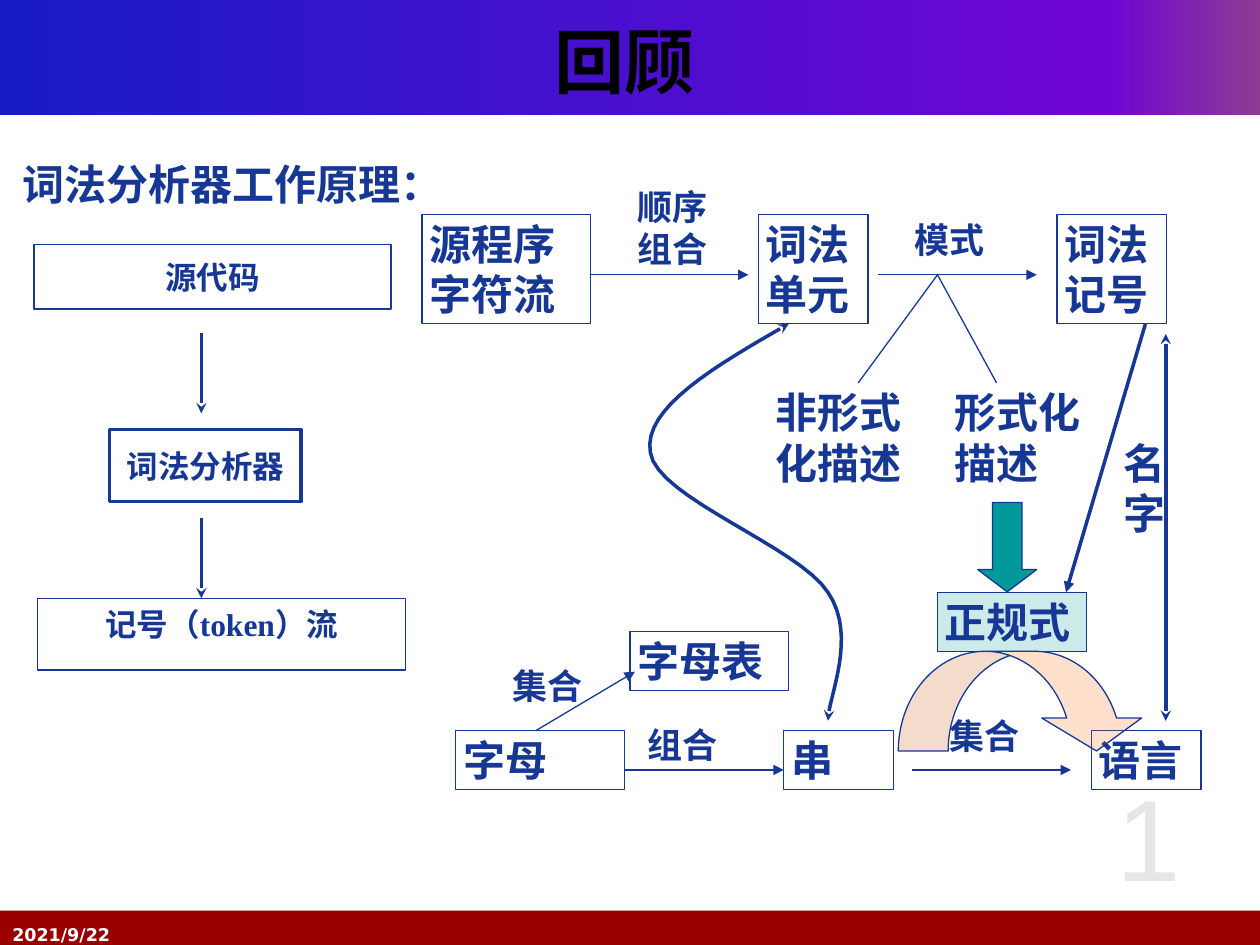
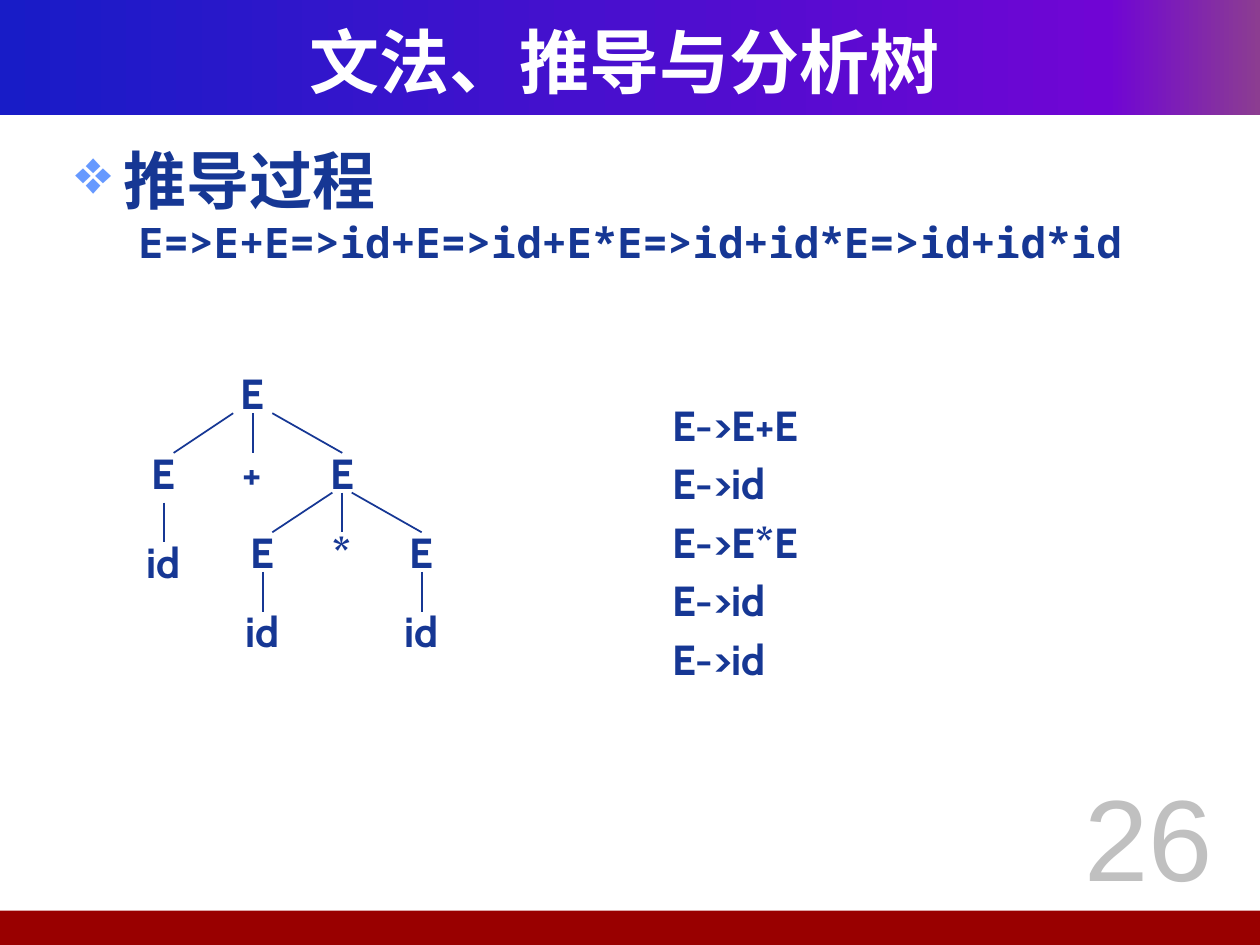
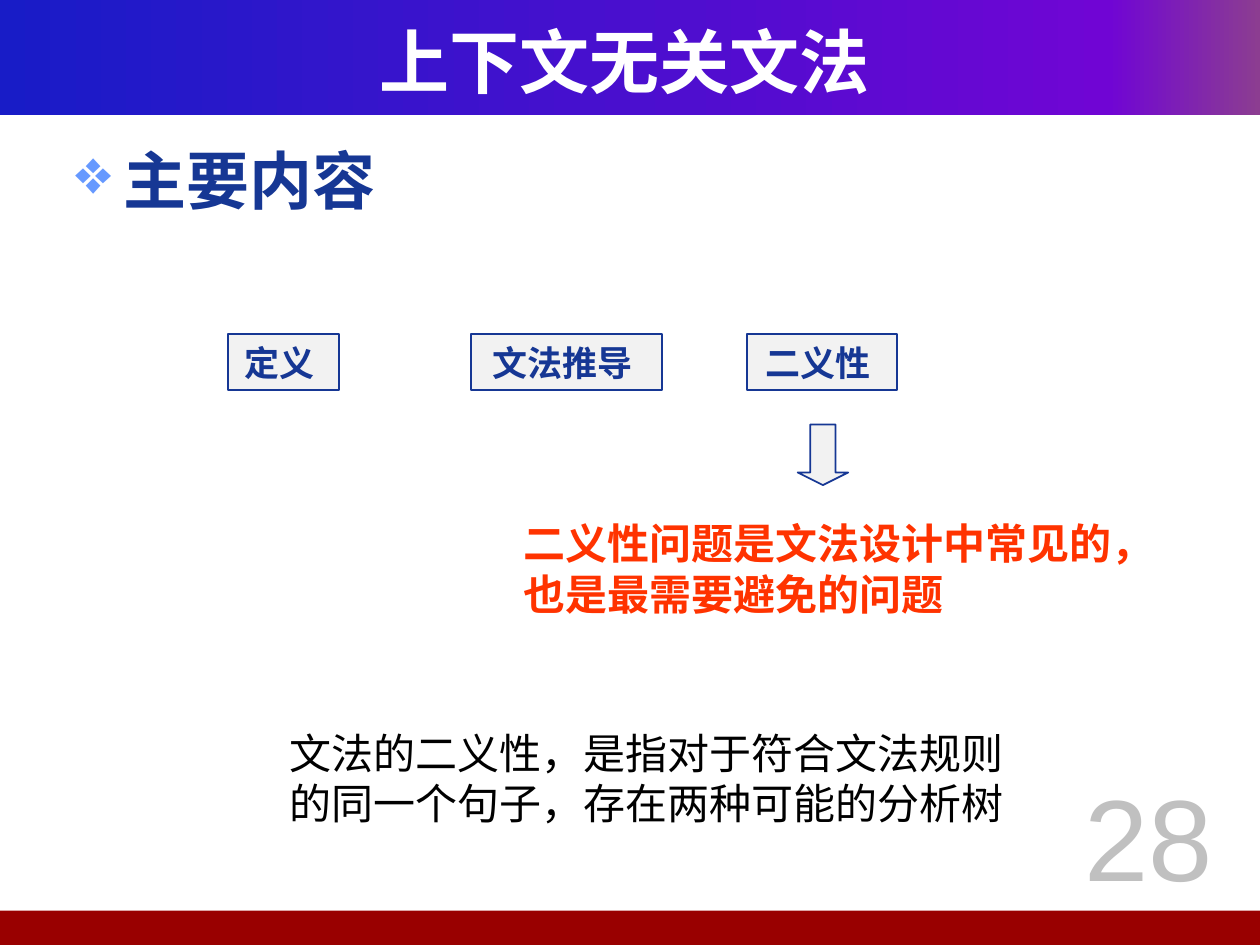
from copy import deepcopy

from lxml.etree import SubElement
from pptx import Presentation
from pptx.dml.color import RGBColor
from pptx.enum.lang import MSO_LANGUAGE_ID
from pptx.enum.shapes import MSO_CONNECTOR, MSO_SHAPE
from pptx.enum.text import MSO_ANCHOR, PP_ALIGN
from pptx.oxml.ns import qn
from pptx.util import Cm, Pt

NAVY, WHITE, BLACK = "163794", "FFFFFF", "000000"
RED, TEAL, PALE, BULLET = "FF3300", "009999", "F2F2F2", "6699FF"
BAND_STOPS = [(0, "181CC7"), (0.88, "7005D4"), (1, "8C3D91")]
SANS, MONO, CABIN, SERIF = "Noto Sans CJK SC", "Noto Sans Mono", "Cabin", "Times New Roman"
TIGHT, ROOMY = (0.15, 0.08), (0.25, 0.13)


def rgb(code):
    """Turn a hex string into a colour."""
    return RGBColor.from_string(code)


def style_paragraph(paragraph, font, size, color=NAVY, bold=True):
    """Set the font of a whole paragraph, for Latin and Chinese letters."""
    face = paragraph.font
    face.name, face.size, face.bold = font, Pt(size), bold
    face.color.rgb = rgb(color)
    face.language_id = MSO_LANGUAGE_ID.SIMPLIFIED_CHINESE
    defaults = paragraph._p.find(".//" + qn("a:defRPr"))
    SubElement(defaults, qn("a:ea"), typeface=MONO if font == MONO else CABIN)


def write(shape, text, font, size, color=NAVY, bold=True, align=PP_ALIGN.LEFT,
          anchor=MSO_ANCHOR.TOP, inset=ROOMY, wrap=True):
    """Fill a shape with text, one paragraph a line."""
    frame = shape.text_frame
    frame.word_wrap = wrap
    frame.vertical_anchor = anchor
    frame.margin_left = frame.margin_right = Cm(inset[0])
    frame.margin_top = frame.margin_bottom = Cm(inset[1])
    frame.text = text
    for paragraph in frame.paragraphs:
        paragraph.alignment = align
        style_paragraph(paragraph, font, size, color, bold)


def add_text(slide, at, text, font, size, **options):
    """Add a text box."""
    box = slide.shapes.add_textbox(*map(Cm, at))
    write(box, text, font, size, **options)
    return box


def add_figure(slide, kind, at, fill=None, line=NAVY, width=0.75, alpha=None, adjust=()):
    """Add a preset shape with its fill and outline."""
    figure = slide.shapes.add_shape(kind, *map(Cm, at))
    figure.shadow.inherit = False
    for index, value in enumerate(adjust):
        figure.adjustments[index] = value
    if fill:
        figure.fill.solid()
        figure.fill.fore_color.rgb = rgb(fill)
    else:
        figure.fill.background()
    if alpha:
        color = figure._element.spPr.find(f"{qn('a:solidFill')}/{qn('a:srgbClr')}")
        SubElement(color, qn("a:alpha"), val=str(alpha * 1000))
    if line:
        figure.line.color.rgb = rgb(line)
        figure.line.width = Pt(width)
    else:
        figure.line.fill.background()
    return figure


def add_box(slide, at, text, font=SANS, size=24, fill=None, width=0.75, alpha=None, **options):
    """Add an outlined rectangle with text."""
    box = add_figure(slide, MSO_SHAPE.RECTANGLE, at, fill, width=width, alpha=alpha)
    write(box, text, font, size, **options)


def draw_stroke(stroke, width, head, tail):
    """Colour a line and give it its arrowheads."""
    stroke.line.color.rgb = rgb(NAVY)
    stroke.line.width = Pt(width)
    outline = stroke._element.spPr.find(qn("a:ln"))
    for end, kind in (("a:headEnd", head), ("a:tailEnd", tail)):
        if kind:
            SubElement(outline, qn(end), type=kind)


def add_line(slide, start, end, width=0.75, head=None, tail=None):
    """Add a straight line or arrow."""
    line = slide.shapes.add_connector(MSO_CONNECTOR.STRAIGHT, *map(Cm, (*start, *end)))
    draw_stroke(line, width, head, tail)
    SubElement(line._element.spPr, qn("a:effectLst"))


def bezier(start, first, second, end, steps=16):
    """Return the points of a cubic curve after its start."""
    points = []
    for step in range(1, steps + 1):
        t = step / steps
        weights = ((1 - t) ** 3, 3 * t * (1 - t) ** 2, 3 * t * t * (1 - t), t ** 3)
        points.append(tuple(
            Cm(sum(weight * value for weight, value in zip(weights, axis)))
            for axis in zip(start, first, second, end)))
    return points


def add_curve(slide, points, width, head, tail):
    """Add an open curve through chained cubic sections."""
    builder = slide.shapes.build_freeform(*map(Cm, points[0]))
    for index in range(0, len(points) - 1, 3):
        builder.add_line_segments(bezier(*points[index:index + 4]), close=False)
    curve = builder.convert_to_shape()
    curve.shadow.inherit = False
    curve.fill.background()
    draw_stroke(curve, width, head, tail)


def add_slide(deck, title, number, title_color=WHITE, number_color="C0C0C0"):
    """Add a slide with the title band, footer band and page number."""
    slide = deck.slides.add_slide(deck.slide_layouts[6])
    band = add_figure(slide, MSO_SHAPE.RECTANGLE, (0, 0, 25.4, 2.32), line=None)
    band.fill.gradient()
    band.fill.gradient_angle = 0
    stops = band._element.spPr.find(".//" + qn("a:gsLst"))
    stops.append(deepcopy(stops[-1]))
    for stop, (position, color) in zip(band.fill.gradient_stops, BAND_STOPS):
        stop.position = position
        stop.color.rgb = rgb(color)
    add_figure(slide, MSO_SHAPE.RECTANGLE, (0, 18.36, 25.4, 0.69), "990000", line=None)
    add_text(slide, (0.84, 0.43, 23.5, 1.57), title, MONO, 40, color=title_color,
             align=PP_ALIGN.CENTER, anchor=MSO_ANCHOR.MIDDLE)
    add_text(slide, (20.9, 15.32, 4.5, 3.61), number, "Arial", 66, color=number_color,
             bold=False, align=PP_ALIGN.CENTER)
    return slide


def add_topic(slide, topic, detail=None):
    """Add the bulleted topic and an optional line under it."""
    body = slide.shapes.add_textbox(Cm(1.27), Cm(2.72), Cm(22.86), Cm(14.58))
    frame = body.text_frame
    frame.word_wrap = True
    heading = frame.paragraphs[0]
    heading.text = topic
    layout = heading._p.get_or_add_pPr()
    layout.set("marL", str(Cm(0.97)))
    layout.set("indent", str(-Cm(0.97)))
    SubElement(SubElement(layout, qn("a:buClr")), qn("a:srgbClr"), val=BULLET)
    SubElement(layout, qn("a:buChar"), char="❖")
    style_paragraph(heading, MONO, 36)
    if detail:
        derivation = frame.add_paragraph()
        derivation.text = detail
        derivation._p.get_or_add_pPr().set("marL", str(Cm(1.27)))
        style_paragraph(derivation, MONO, 24)


def draw_scanner(slide):
    """Draw the flow from source code to tokens."""
    centred = {"size": 18, "fill": WHITE, "align": PP_ALIGN.CENTER}
    add_box(slide, (2.21, 8.66, 3.86, 1.45), "词法分析器", width=2,
            anchor=MSO_ANCHOR.MIDDLE, **centred)
    for top in (6.71, 10.44):
        add_line(slide, (4.06, top), (4.06, top + 1.62), 2, tail="stealth")
    add_box(slide, (0.76, 12.06, 7.42, 1.45), "记号（token）流", SERIF, **centred)
    add_box(slide, (0.69, 4.93, 7.19, 1.3), "源代码", SERIF, width=1,
            anchor=MSO_ANCHOR.MIDDLE, **centred)


def draw_concepts(slide):
    """Draw the map of lexical concepts."""
    concepts = [
        (8.51, 4.32, 3.4, 2.21, "源程序字符流"),
        (15.29, 4.32, 2.21, 2.21, "词法单元"),
        (21.31, 4.32, 2.21, 2.21, "词法记号"),
        (9.19, 14.73, 3.4, 1.19, "字母"),
        (15.8, 14.73, 2.21, 1.19, "串"),
        (22, 14.73, 2.21, 1.19, "语言"),
        (12.7, 12.73, 3.2, 1.19, "字母表"),
    ]
    for *at, text in concepts:
        add_box(slide, at, text, inset=TIGHT)
    add_box(slide, (18.9, 11.94, 3, 1.19), "正规式", fill=TEAL, alpha=20, inset=TIGHT)

    relations = [
        (12.7, 3.66, 1.88, "顺序组合"),
        (18.29, 4.32, 1.02, "模式"),
        (12.9, 14.5, 1.02, "组合"),
        (19, 14.33, 1.02, "集合"),
        (10.19, 13.31, 1.02, "集合"),
    ]
    for left, top, height, text in relations:
        add_text(slide, (left, top, 2, height), text, SANS, 20, inset=TIGHT)
    for left, width, top, text in [(15.49, 3, 7.72, "非形式化描述"),
                                   (19.1, 3, 7.72, "形式化描述"),
                                   (22.5, 0.89, 8.74, "名字")]:
        add_text(slide, (left, top, width, 2.21), text, SANS, 24, inset=TIGHT)

    for left, level in [(11.89, 5.54), (17.7, 5.54), (12.6, 15.52), (18.39, 15.52)]:
        add_line(slide, (left, level), (left + 3.2, level), tail="triangle")
    add_line(slide, (10.8, 14.73), (12.8, 13.54), tail="triangle")
    for description in (17.3, 20.09):
        add_line(slide, (18.9, 5.54), (description, 7.72))
    add_figure(slide, MSO_SHAPE.DOWN_ARROW, (19.71, 10.13, 1.19, 1.8), TEAL,
               adjust=(0.5, 0.375))
    add_figure(slide, MSO_SHAPE.CURVED_DOWN_ARROW, (18.11, 13.13, 5, 2.01), "FF6600",
               alpha=20, adjust=(0.5, 1, 0.33))
    add_line(slide, (23.09, 6.53), (21.49, 11.94), 2, tail="triangle")
    unit_to_string = [
        (15.9, 6.53), (14.43, 7.37), (12.95, 8.23), (13.11, 9.12), (13.23, 10.03),
        (16.1, 11.02), (16.69, 11.94), (17.3, 12.83), (16.69, 14.07), (16.69, 14.53),
    ]
    add_curve(slide, unit_to_string, 2, "stealth", "stealth")
    add_line(slide, (23.5, 6.73), (23.5, 14.53), 2, "stealth", "stealth")


def draw_parse_tree(slide):
    """Draw the parse tree of id+id*id."""
    nodes = [
        (5.09, 7.92, "E"),
        (3.29, 9.52, "E"), (5.09, 9.52, "+"), (6.9, 9.52, "E"),
        (5.3, 11.12, "E"), (6.9, 11.12, "*"), (8.5, 11.12, "E"),
        (3.29, 11.32, "id"), (5.3, 12.72, "id"), (8.5, 12.72, "id"),
    ]
    for x, y, symbol in nodes:
        add_text(slide, (x - 0.6, y - 0.4, 1.2, 0.8), symbol, CABIN, 24,
                 align=PP_ALIGN.CENTER, anchor=MSO_ANCHOR.MIDDLE, wrap=False)
    branches = [
        (4.7, 3.5, 8.33), (5.1, 5.1, 8.33), (5.49, 6.9, 8.33),
        (6.7, 5.49, 9.93), (6.9, 6.9, 9.93), (7.09, 8.5, 9.93),
        (3.3, 3.3, 10.13), (5.3, 5.3, 11.53), (8.5, 8.5, 11.53),
    ]
    for parent, child, top in branches:
        add_line(slide, (parent, top), (child, top + 0.8), 1)


def build_review(deck):
    """Build the review slide."""
    slide = add_slide(deck, "回顾", "1", BLACK, "E6E6E6")
    add_text(slide, (0, 18.49, 23.5, 0.56), "2021/9/22", "DejaVu Sans", 10, color=WHITE)
    add_text(slide, (0.3, 3.12, 9.09, 1.19), "词法分析器工作原理：", CABIN, 24, inset=TIGHT)
    draw_scanner(slide)
    draw_concepts(slide)


def build_derivation(deck):
    """Build the slide on derivation and parse tree."""
    slide = add_slide(deck, "文法、推导与分析树", "26")
    add_topic(slide, "推导过程", "E=>E+E=>id+E=>id+E*E=>id+id*E=>id+id*id")
    draw_parse_tree(slide)
    for row, rule in enumerate(["E->E+E", "E->id", "E->E*E", "E->id", "E->id"]):
        add_text(slide, (13.3, 7.92 + 1.18 * row, 3.8, 1.27), rule, CABIN, 24, wrap=False)


def build_grammar(deck):
    """Build the slide on context-free grammar."""
    slide = add_slide(deck, "上下文无关文法", "28")
    add_topic(slide, "主要内容")
    add_text(slide, (10.31, 10.31, 13.41, 2.29),
             "二义性问题是文法设计中常见的，\n也是最需要避免的问题", CABIN, 24, color=RED)
    add_text(slide, (5.59, 14.53, 15.49, 2.31),
             "文法的二义性，是指对于符合文法规则的同一个句子，存在两种可能的分析树",
             SANS, 24, color=BLACK, bold=False)
    for left, width, topic in [(4.6, 2.24, "定义 "), (9.5, 3.84, "文法推导 "),
                               (15.06, 3.02, "二义性 ")]:
        add_box(slide, (left, 6.73, width, 1.14), topic, size=20, fill=PALE, width=1,
                align=PP_ALIGN.CENTER, anchor=MSO_ANCHOR.MIDDLE)
    add_figure(slide, MSO_SHAPE.DOWN_ARROW, (16.08, 8.56, 1.02, 1.22), PALE, width=1,
               adjust=(0.5, 0.25))


def main():
    """Build the deck and save it."""
    deck = Presentation()
    deck.slide_width, deck.slide_height = Cm(25.4), Cm(19.05)
    build_review(deck)
    build_derivation(deck)
    build_grammar(deck)
    deck.save("out.pptx")


if __name__ == "__main__":
    main()
